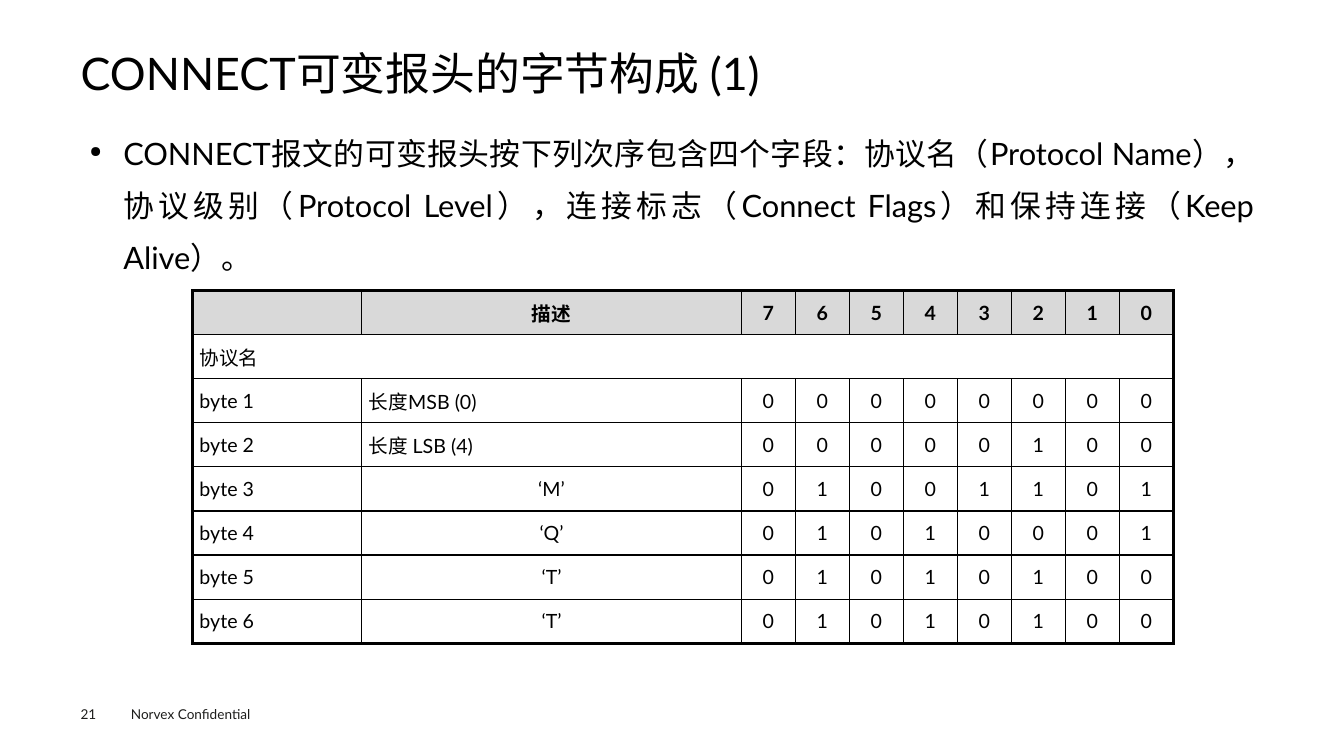
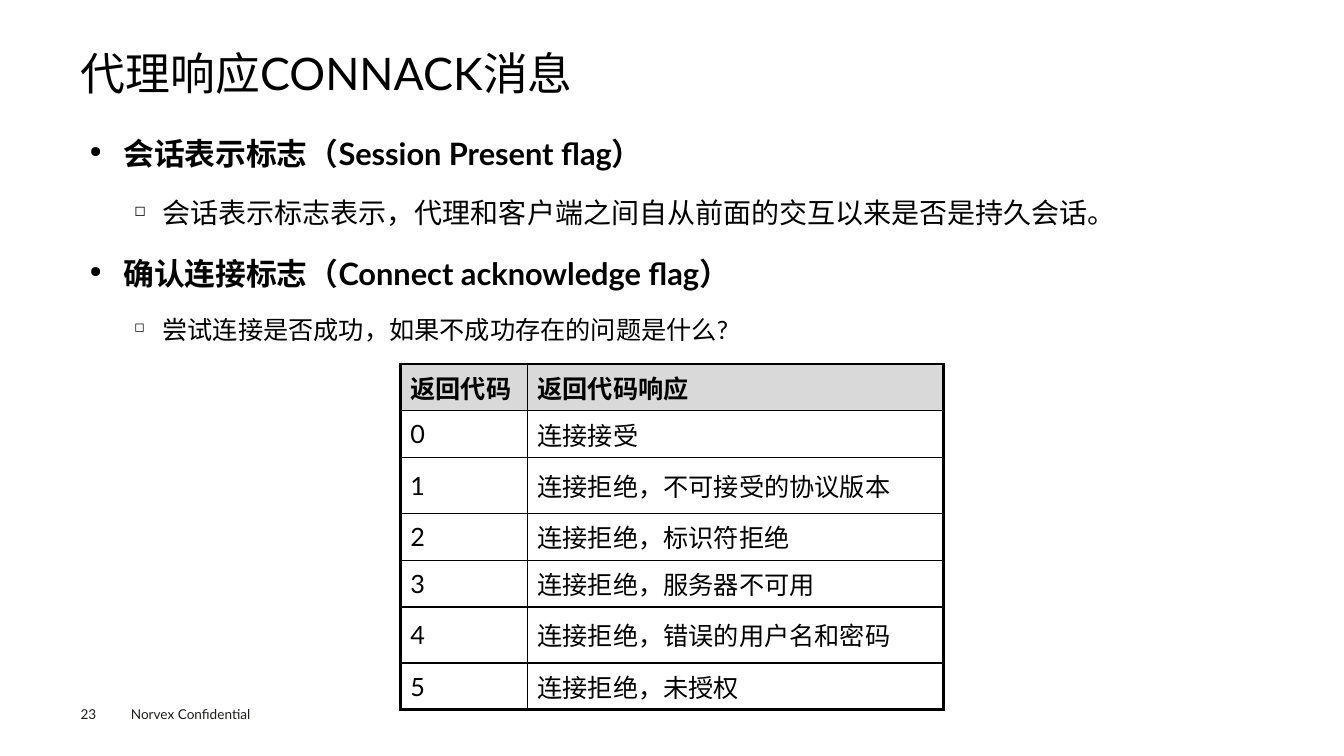
from lxml import etree
from pptx import Presentation
from pptx.dml.color import RGBColor
from pptx.enum import lang, text
from pptx.oxml import ns
from pptx.util import Pt

FACE = "Lato"
BLACK, INK, GREY = "000000", "1D1D1B", "D9D9D9"
OUTER, INNER = 2.25, 1
LEFT, CENTER, JUSTIFY = text.PP_ALIGN.LEFT, text.PP_ALIGN.CENTER, text.PP_ALIGN.JUSTIFY
FOOTER = "Norvex Confidential"

LEVELS = [
    dict(indent=24, hang=24, before=7.9, bullet="●", align=JUSTIFY),
    dict(indent=52, hang=20, before=7.2, bullet="◻", align=LEFT),
]

BYTES = [
    ("长度MSB (0)", "00000000"),
    ("长度 LSB (4)", "00000100"),
    ("‘M’", "01001101"),
    ("‘Q’", "01010001"),
    ("‘T’", "01010100"),
    ("‘T’", "01010100"),
]
BYTE_ROWS = [["", "描述", *"76543210"], ["协议名"] + [""] * 9] + [
    [f"byte {number}", meaning, *bits]
    for number, (meaning, bits) in enumerate(BYTES, 1)
]
RETURN_CODES = [
    "连接接受",
    "连接拒绝，不可接受的协议版本",
    "连接拒绝，标识符拒绝",
    "连接拒绝，服务器不可用",
    "连接拒绝，错误的用户名和密码",
    "连接拒绝，未授权",
]
CODE_ROWS = [["返回代码", "返回代码响应"]] + [
    [str(code), response] for code, response in enumerate(RETURN_CODES)
]


def byte_align(row, col):
    centred = col > 1 or (col == 1 and row not in (2, 3))
    return CENTER if centred else LEFT


SLIDES = [
    dict(
        number="21",
        title="CONNECT可变报头的字节构成 (1)",
        points=[(0, 22, False,
                 "CONNECT报文的可变报头按下列次序包含四个字段：协议名（Protocol Name），"
                 "协议级别（Protocol Level），连接标志（Connect Flags）和保持连接（Keep Alive）。")],
        grid=dict(rows=BYTE_ROWS, left=137.5, top=207.5, widths=[121, 271] + [38.6] * 8,
                  heights=[31.5] * 8, size=14, margins=(5, 0), spacing=4,
                  align=byte_align, full_rows=[1], faces={(0, 1): "Arial"}),
    ),
    dict(
        number="23",
        title="代理响应CONNACK消息",
        points=[
            (0, 22, True, "会话表示标志（Session Present\u00a0flag）"),
            (1, 20, False, "会话表示标志表示，代理和客户端之间自从前面的交互以来是否是持久会话。"),
            (0, 22, True, "确认连接标志（Connect acknowledge flag）"),
            (1, 18, False, "尝试连接是否成功，如果不成功存在的问题是什么?"),
        ],
        grid=dict(rows=CODE_ROWS, left=286, top=260, widths=[90.7, 297.4],
                  heights=[33.4, 33.4, 40, 33.4, 33.4, 40, 33.4], size=18,
                  margins=(7.2, 3.6), spacing=0, align=lambda row, col: LEFT,
                  full_rows=[], faces={}),
    ),
]


def color(value):
    return RGBColor.from_string(value)


def sub(parent, tag, **attributes):
    return etree.SubElement(parent, ns.qn(tag), **attributes)


def style(paragraph, size, ink=BLACK, bold=False, face=FACE, align=LEFT):
    paragraph.alignment = align
    font = paragraph.font
    font.name, font.size, font.bold = face, Pt(size), bold
    font.color.rgb = color(ink)
    font.language_id = lang.MSO_LANGUAGE_ID.SIMPLIFIED_CHINESE


def frame_margins(frame, side, end):
    frame.margin_left = frame.margin_right = Pt(side)
    frame.margin_top = frame.margin_bottom = Pt(end)


def place_text(slide, box, margins=(7.2, 3.6), wrap=True):
    frame = slide.shapes.add_textbox(*map(Pt, box)).text_frame
    frame.word_wrap = wrap
    frame_margins(frame, *margins)
    return frame


def add_title(slide, words):
    title = slide.shapes.title
    title.left, title.top, title.width, title.height = map(Pt, (57.6, 35.3, 844.6, 38.2))
    frame = title.text_frame
    frame.auto_size = text.MSO_AUTO_SIZE.NONE
    frame.vertical_anchor = text.MSO_ANCHOR.MIDDLE
    frame_margins(frame, 0, 0)
    frame.text = words
    frame.paragraphs[0].line_spacing = 0.9
    style(frame.paragraphs[0], 32)


def add_footer(slide, number):
    for words, box, margins in [
        (FOOTER, (86.4, 500.4, 115, 19.4), (7.2, 3.6)),
        (number, (57.6, 504, 39.6, 11.5), (0, 0)),
    ]:
        frame = place_text(slide, box, margins, wrap=False)
        frame.text = words
        style(frame.paragraphs[0], 9.7, INK)


def add_points(slide, points):
    frame = place_text(slide, (57.6, 82.8, 844.6, 384.5), (6.5, 3))
    for index, (depth, size, bold, words) in enumerate(points):
        paragraph = frame.add_paragraph() if index else frame.paragraphs[0]
        level = LEVELS[depth]
        paragraph.text = words
        paragraph.level = depth
        properties = paragraph._p.get_or_add_pPr()
        properties.set("marL", str(Pt(level["indent"])))
        properties.set("indent", str(-Pt(level["hang"])))
        sub(properties, "a:buSzPct", val="50000")
        sub(properties, "a:buChar", char=level["bullet"])
        paragraph.line_spacing = 1.4
        paragraph.space_before = Pt(level["before"])
        style(paragraph, size, bold=bold, align=level["align"])


def add_borders(cell, edges):
    properties = cell._tc.get_or_add_tcPr()
    for side, at_edge in edges.items():
        line = sub(properties, f"a:ln{side}", w=str(Pt(OUTER if at_edge else INNER)))
        sub(sub(line, "a:solidFill"), "a:srgbClr", val=BLACK)


def add_grid(slide, rows, left, top, widths, heights, size, margins, spacing,
             align, full_rows, faces):
    last_row, last_col = len(rows) - 1, len(widths) - 1
    table = slide.shapes.add_table(len(rows), len(widths), Pt(left), Pt(top),
                                   Pt(sum(widths)), Pt(sum(heights))).table
    table.first_row = table.horz_banding = False
    for column, width in zip(table.columns, widths):
        column.width = Pt(width)
    for band, height in zip(table.rows, heights):
        band.height = Pt(height)
    for row in full_rows:
        table.cell(row, 0).merge(table.cell(row, last_col))
    for row, entries in enumerate(rows):
        for col, words in enumerate(entries):
            cell = table.cell(row, col)
            edges = dict(L=col == 0, R=col == last_col or cell.is_merge_origin,
                         T=row == 0, B=row == last_row)
            if cell.is_spanned:
                del edges["L"], edges["R"]
            add_borders(cell, edges)
            if row == 0:
                cell.fill.solid()
                cell.fill.fore_color.rgb = color(GREY)
            else:
                cell.fill.background()
            frame_margins(cell, *margins)
            cell.vertical_anchor = text.MSO_ANCHOR.MIDDLE
            cell.text = words
            paragraph = cell.text_frame.paragraphs[0]
            paragraph.space_before = paragraph.space_after = Pt(spacing)
            style(paragraph, size, bold=row == 0, align=align(row, col),
                  face=faces.get((row, col), FACE))


deck = Presentation()
deck.slide_width, deck.slide_height = Pt(960), Pt(540)
for page in SLIDES:
    slide = deck.slides.add_slide(deck.slide_layouts[5])
    add_footer(slide, page["number"])
    add_title(slide, page["title"])
    add_points(slide, page["points"])
    add_grid(slide, **page["grid"])
deck.save("out.pptx")
